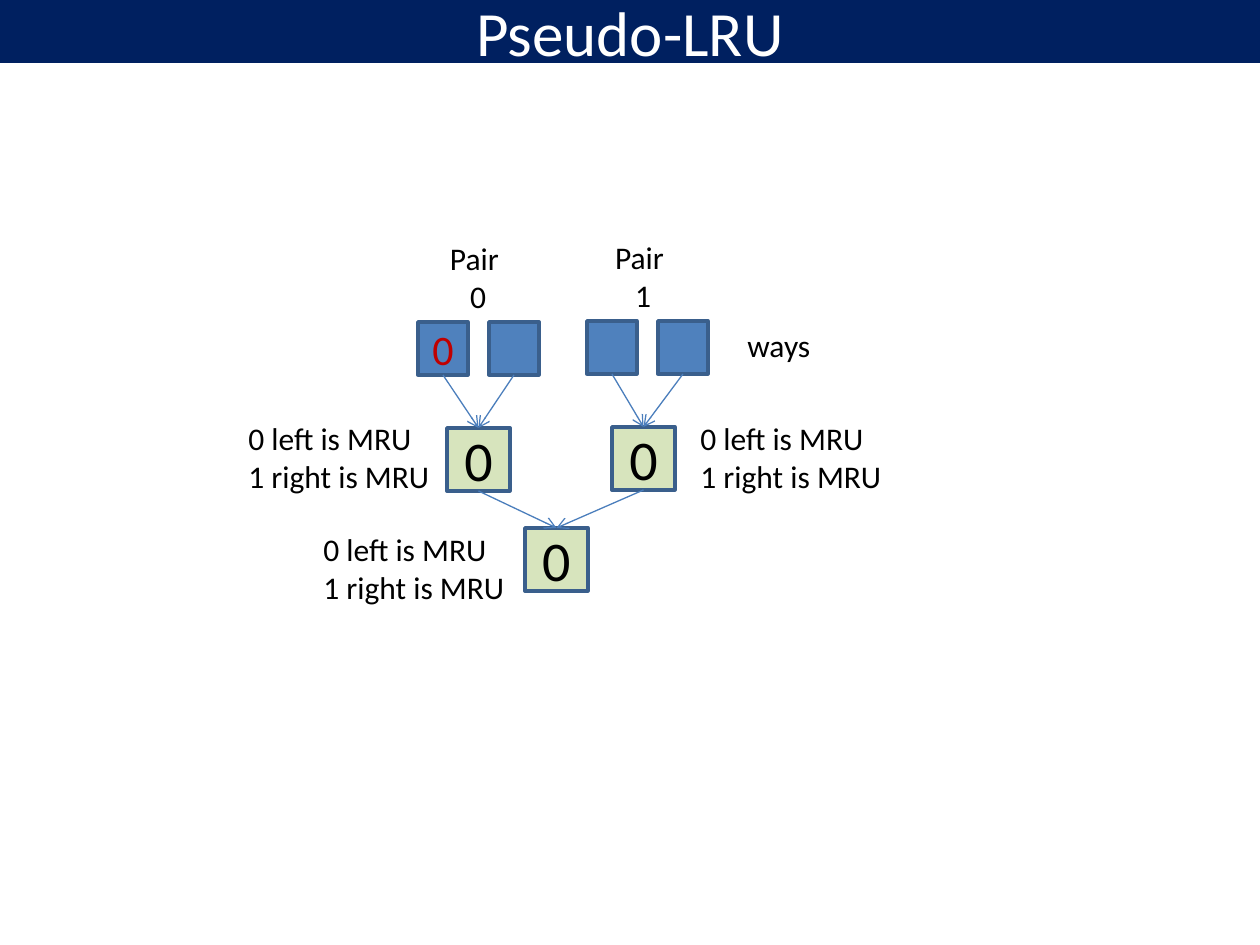
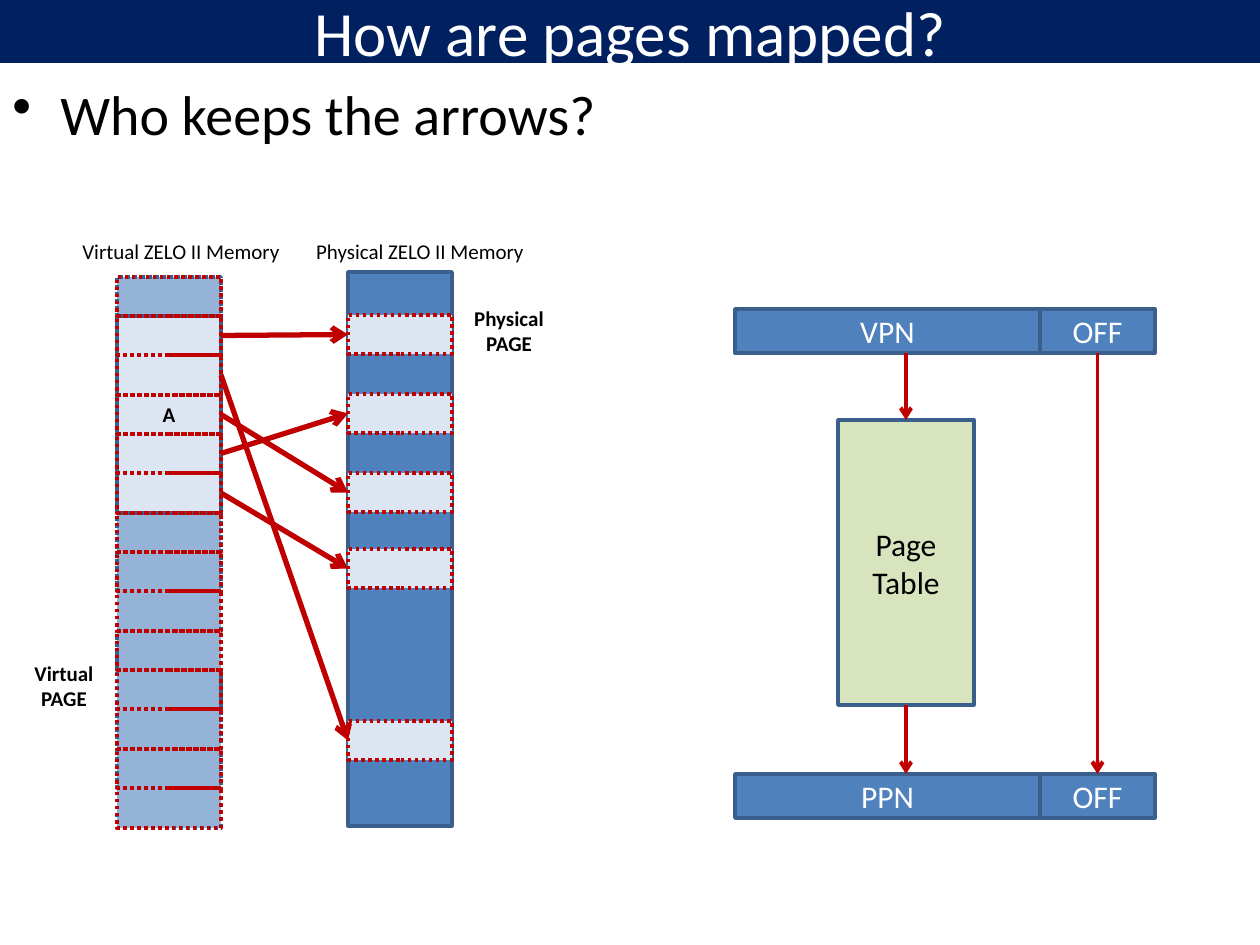
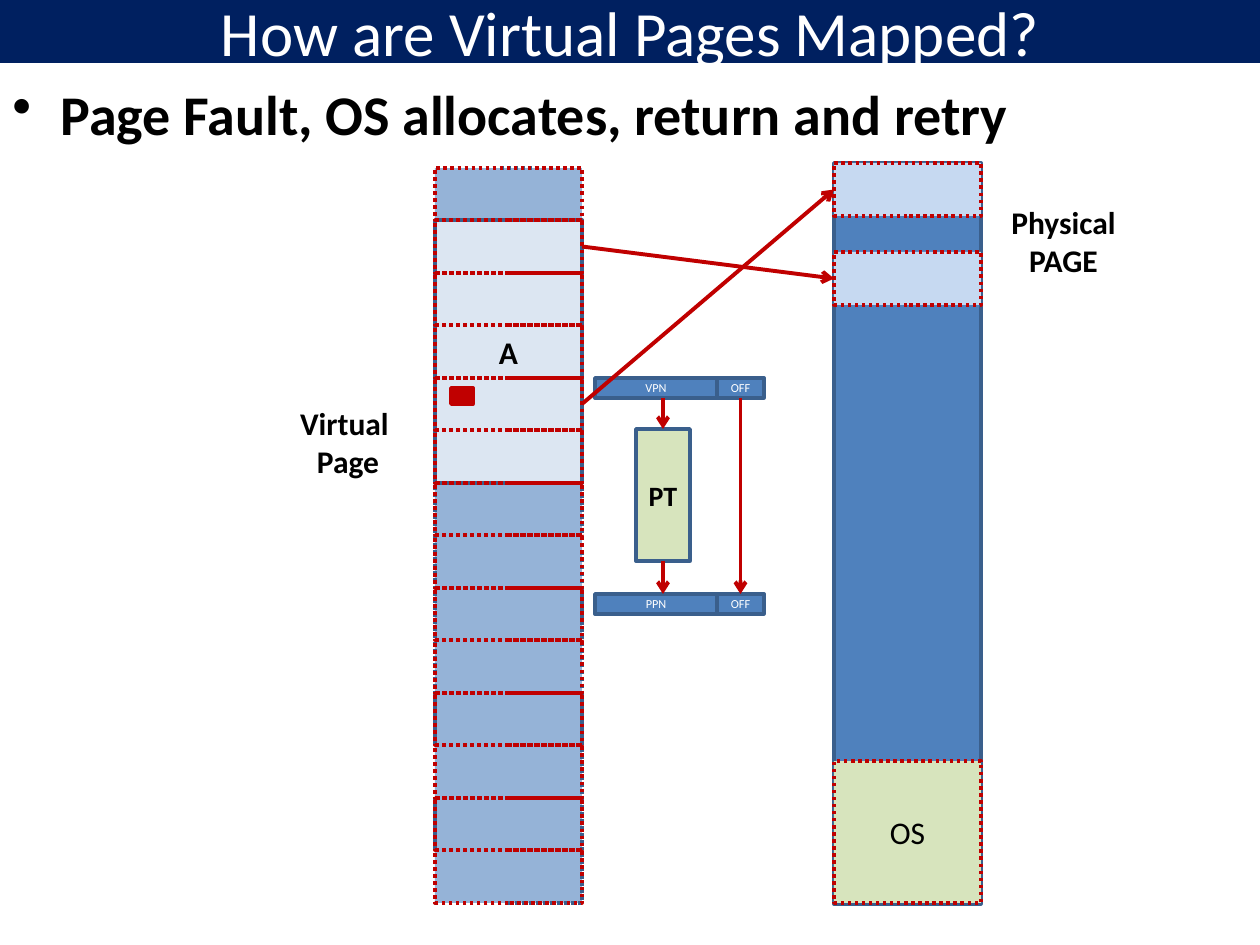
from pptx import Presentation
from pptx import util as u
from pptx.dml import color
from pptx.enum import dml, shapes, text
from pptx.oxml import ns
from lxml import etree

PX = 914400 / 126
FONT = "Calibri"
PAGES = 14
HUES = {
    "navy": "002060", "white": "FFFFFF", "black": "000000", "red": "C00000",
    "blue": "4F81BD", "edge": "3A5F8C", "link": "4B7EBC", "green": "D7E4BD",
    "mid": "95B3D7", "pale": "DCE6F2", "sky": "C6D9F1",
}
MID = text.PP_ALIGN.CENTER
LEFT = text.PP_ALIGN.LEFT


def emu(*px):
    """Turn px lengths into EMU."""
    return [u.Emu(round(n * PX)) for n in px]


def rgb(hue):
    """Look up a named colour."""
    return color.RGBColor.from_string(HUES[hue])


def write(frame, words, size, hue="black", bold=False, align=MID):
    """Fill a text frame, one paragraph a line."""
    frame.text = words
    for para in frame.paragraphs:
        para.alignment = align
        font = para.font
        font.name, font.size, font.bold = FONT, u.Pt(size), bold
        font.color.rgb = rgb(hue)


def rect(s, box, fill=None, line="edge", words="", size=18, hue="black",
         bold=False, dots=False):
    """Draw a rectangle with optional centred text."""
    shape = s.shapes.add_shape(shapes.MSO_SHAPE.RECTANGLE, *emu(*box))
    shape.shadow.inherit = False
    if fill:
        shape.fill.solid()
        shape.fill.fore_color.rgb = rgb(fill)
    else:
        shape.fill.background()
    if line:
        shape.line.color.rgb = rgb(line)
        shape.line.width = u.Pt(2)
    else:
        shape.line.fill.background()
    if dots:
        shape.line.dash_style = dml.MSO_LINE.ROUND_DOT
    if words:
        frame = shape.text_frame
        frame.word_wrap = True
        frame.vertical_anchor = text.MSO_ANCHOR.MIDDLE
        frame.margin_left = frame.margin_right = emu(4)[0]
        frame.margin_top = frame.margin_bottom = 0
        write(frame, words, size, hue, bold)
    return shape


def label(s, box, words, size=18, bold=False, align=MID):
    """Place loose text."""
    frame = s.shapes.add_textbox(*emu(*box)).text_frame
    frame.word_wrap = False
    write(frame, words, size, bold=bold, align=align)
    return frame


def arrow(s, ends, start=None, stop=None, hue="red", width=2.25):
    """Draw an arrow, joined to (shape, side) pairs where given."""
    link = s.shapes.add_connector(shapes.MSO_CONNECTOR.STRAIGHT, *emu(*ends))
    if start:
        link.begin_connect(*start)
    if stop:
        link.end_connect(*stop)
    link.line.color.rgb = rgb(hue)
    link.line.width = u.Pt(width)
    etree.SubElement(link.line._ln, ns.qn("a:tailEnd"), type="arrow")
    etree.SubElement(link._element.spPr, ns.qn("a:effectLst"))


def join(s, start, stop, **look):
    """Draw an arrow between two shape sides."""
    arrow(s, (0, 0, 0, 0), start, stop, **look)


def page(deck, title):
    """Add a slide with its title band."""
    s = deck.slides.add_slide(deck.slide_layouts[6])
    rect(s, (0, 0, 1260, 63), "navy", None, title, 36, "white")
    return s


def bullet(s, words, bold=False):
    """Place the bulleted line below the band."""
    frame = label(s, (0, 73, 1260, 94), words, 32, bold, LEFT)
    frame.word_wrap = True
    para = frame.paragraphs[0]
    para.space_before = u.Pt(6)
    props = para._p.get_or_add_pPr()
    dent = emu(48)[0]
    props.set("marL", str(dent))
    props.set("indent", str(-dent))
    mark = etree.Element(ns.qn("a:buChar"), char="•")
    props.find(ns.qn("a:spcBef")).addnext(mark)


def pair(s, x, y, shift, name, mark=""):
    """Draw two ways above their bit, and return the bit."""
    bit = rect(s, (x, y + 106, 63, 63), "green", words="0", size=32)
    for i, word in enumerate((mark, "")):
        way = rect(s, (x - shift + 71 * i, y, 50, 53), "blue", words=word,
                   size=24, hue="red")
        join(s, (way, 2), (bit, 0), hue="link", width=0.75)
    label(s, (x - 10, y - 89, 82, 89), f"Pair \v{name}")
    return bit


def tree(s, x, y):
    """Draw the tree of recency bits."""
    bits = [pair(s, x + 29, y + 1, 29, 0, "0"), pair(s, x + 194, y, 25, 1)]
    root = rect(s, (x + 107, y + 207, 63, 63), "green", words="0", size=32)
    for bit in bits:
        join(s, (bit, 2), (root, 0), hue="link", width=0.75)
    label(s, (x + 317, y - 1, 89, 50), "ways", align=LEFT)
    for dx, dy in ((270, 92), (-182, 92), (-107, 203)):
        label(s, (x + dx, y + dy, 208, 89),
              "0 left is MRU\n1 right is MRU", align=LEFT)


def virtual(s, box, size):
    """Draw virtual memory and return its pages."""
    x, y, w, h = box
    tops = [y + h * i // PAGES for i in range(PAGES + 1)]
    rect(s, box, "mid", dots=True)
    rect(s, (x, tops[1], w, tops[6] - tops[1]), "pale", words="A", size=size,
         bold=True)
    return [rect(s, (x, top, w, end - top), line="red", dots=True)
            for top, end in zip(tops, tops[1:])]


def physical(s, box, tops, high, fill):
    """Draw physical memory and return its frames."""
    x, y, w, h = box
    rect(s, box, "blue")
    return [rect(s, (x, y + top, w, high), fill, "red", dots=True)
            for top in tops]


def remap(s, pages, frames, pairs, width):
    """Point virtual pages at physical frames."""
    for i, j in pairs:
        join(s, (pages[i], 3), (frames[j], 1), width=width)


def lookup(s, box, name, size, core, bold=False):
    """Draw address translation through a page table."""
    x, y, w, h = box
    cut, bar = w * 305 // 420, h * 11 // 127
    offs = []
    for top, word in ((y, "VPN"), (y + h - bar, "PPN")):
        rect(s, (x, top, cut, bar), "blue", words=word, size=size, hue="white")
        offs.append(rect(s, (x + cut, top, w - cut, bar), "blue", words="OFF",
                         size=size, hue="white"))
    left, wide = x + w * 103 // 420, w * 136 // 420
    table = rect(s, (left, y + h * 22 // 100, wide, h * 56 // 100), "green",
                 words=name, size=core, bold=bold)
    axis = left + wide / 2
    arrow(s, (axis, y + bar, axis, y + bar), stop=(table, 0))
    arrow(s, (axis, y, axis, y + h - bar), start=(table, 2))
    join(s, (offs[0], 2), (offs[1], 0))


def recency(deck):
    """Build the pseudo-LRU slide."""
    s = page(deck, "Pseudo-LRU")
    tree(s, 418, 321)


def mapping(deck):
    """Build the slide on who keeps the mapping."""
    s = page(deck, "How are pages mapped?")
    bullet(s, "Who keeps the arrows?")
    pages = virtual(s, (117, 277, 104, 551), 12)
    frames = physical(s, (348, 272, 104, 554), (43, 122, 201, 277, 449), 39,
                      "pale")
    remap(s, pages, frames, ((1, 0), (2, 4), (3, 2), (4, 1), (5, 3)), 3)
    label(s, (69, 232, 224, 38), "Virtual ZELO II Memory", 12)
    label(s, (302, 232, 236, 38), "Physical ZELO II Memory", 12)
    label(s, (461, 299, 96, 63), "Physical\nPAGE", 12, True)
    label(s, (21, 654, 86, 63), "Virtual\nPAGE", 12, True)
    lookup(s, (735, 309, 420, 509), "Page Table", 18, 18)


def fault(deck):
    """Build the page fault slide."""
    s = page(deck, "How are Virtual Pages Mapped?")
    bullet(s, "Page Fault, OS allocates, return and retry", True)
    pages = virtual(s, (435, 168, 147, 735), 18)
    frames = physical(s, (834, 163, 147, 741), (0, 89), 53, "sky")
    rect(s, (834, 761, 147, 142), "green", "red", "OS", dots=True)
    label(s, (998, 197, 131, 89), "Physical\nPAGE", bold=True)
    label(s, (287, 398, 122, 89), "Virtual \nPage", bold=True)
    lookup(s, (595, 378, 169, 236), "PT", 7, 16, True)
    rect(s, (451, 388, 22, 16), "red", "red")
    remap(s, pages, frames, ((1, 1), (4, 0)), 2.25)


def main():
    """Build and save the deck."""
    deck = Presentation()
    deck.slide_width, deck.slide_height = emu(1260, 945)
    for build in (recency, mapping, fault):
        build(deck)
    deck.save("out.pptx")


if __name__ == "__main__":
    main()
